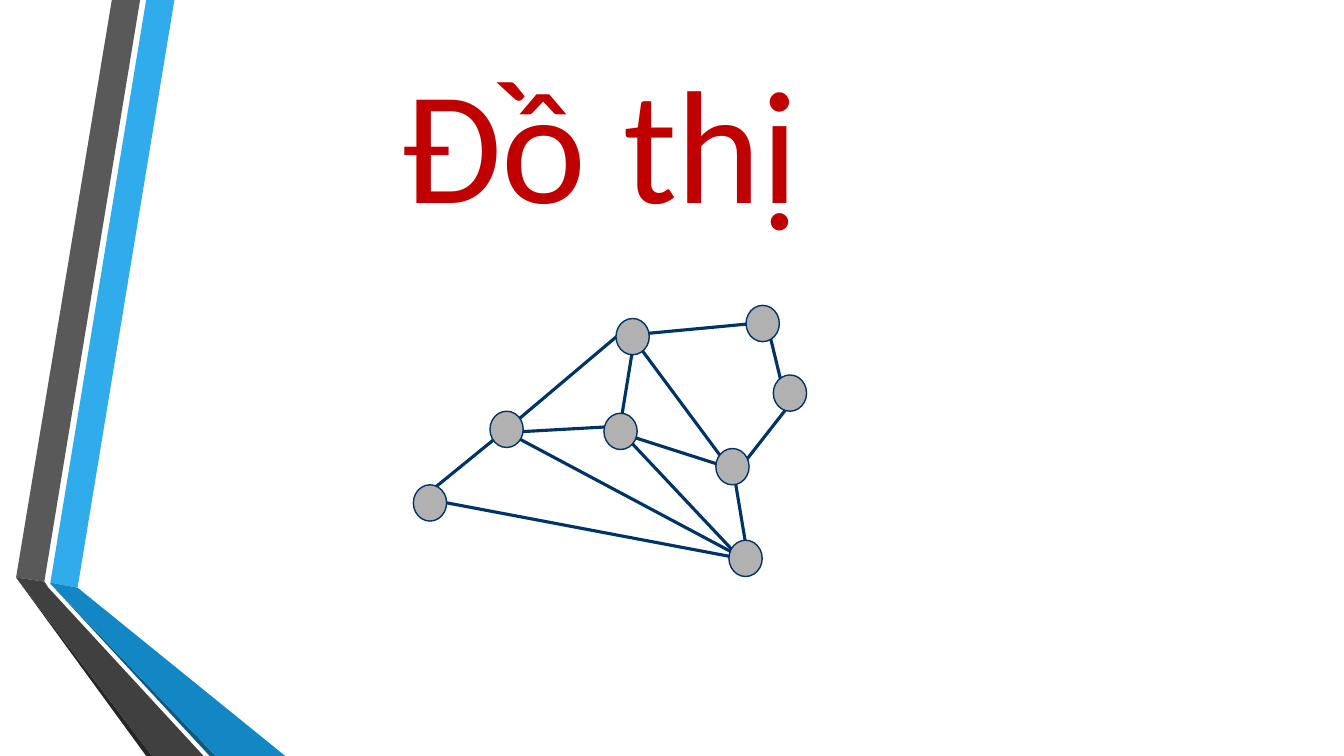
"""Build the "Đồ thị" title slide with its ribbon and its graph of nodes and edges."""
from typing import NamedTuple

from lxml.etree import SubElement
from pptx import Presentation
from pptx.dml.color import RGBColor
from pptx.enum.shapes import MSO_CONNECTOR, MSO_SHAPE
from pptx.enum.text import MSO_ANCHOR
from pptx.oxml.ns import qn
from pptx.slide import Slide
from pptx.util import Inches, Pt

COLORS = {
    "sky": "30ACEC", "blue": "1287C3", "deep blue": "0C5A82",
    "gray": "595959", "dark gray": "404040", "near black": "262626",
    "title": "C00000", "node": "B1B1B1", "edge": "003366",
}
NODE_WIDTH, NODE_HEIGHT = 0.33, 0.36


class Point(NamedTuple):
    x: float
    y: float


class Band(NamedTuple):
    color: str
    corners: list[Point]


class Edge(NamedTuple):
    start: Point
    end: Point


BANDS = [
    Band("sky", [Point(0.5, 5.78), Point(0.77, 5.83), Point(1.73, 0), Point(1.45, 0)]),
    Band("gray", [Point(1.39, 0), Point(1.11, 0), Point(0.16, 5.73), Point(0.44, 5.77)]),
    Band("near black", [Point(0.16, 5.73), Point(1.45, 7.5), Point(1.51, 7.5)]),
    Band("deep blue", [Point(0.5, 5.79), Point(2.08, 7.5), Point(2.14, 7.5)]),
    Band("blue", [Point(0.5, 5.78), Point(0.5, 5.79), Point(2.14, 7.5),
                  Point(2.83, 7.5), Point(0.77, 5.83)]),
    Band("dark gray", [Point(2.02, 7.5), Point(0.48, 5.83), Point(0.44, 5.77),
                       Point(0.16, 5.73), Point(1.51, 7.5)]),
]
EDGES = [
    Edge(Point(4.28, 4.96), Point(7.45, 5.56)),
    Edge(Point(4.2, 4.93), Point(5.01, 4.27)),
    Edge(Point(5.04, 4.29), Point(6.11, 4.23)),
    Edge(Point(6.26, 4.33), Point(7.29, 4.66)),
    Edge(Point(7.35, 4.63), Point(7.89, 3.94)),
    Edge(Point(7.27, 4.64), Point(7.42, 5.54)),
    Edge(Point(6.1, 4.22), Point(7.38, 5.58)),
    Edge(Point(5.03, 4.29), Point(7.47, 5.59)),
    Edge(Point(6.23, 3.29), Point(7.24, 4.65)),
    Edge(Point(6.28, 3.2), Point(5.06, 4.23)),
    Edge(Point(6.3, 3.31), Point(6.15, 4.23)),
    Edge(Point(6.29, 3.32), Point(7.57, 3.2)),
    Edge(Point(7.77, 3.88), Point(7.61, 3.22)),
]
NODE_CORNERS = [
    Point(7.23, 5.36), Point(7.1, 4.45), Point(7.67, 3.72), Point(5.99, 4.1),
    Point(4.86, 4.08), Point(4.1, 4.81), Point(6.11, 3.16), Point(7.4, 3.03),
]


def rgb(name: str) -> RGBColor:
    return RGBColor.from_string(COLORS[name])


def draw_band(slide: Slide, band: Band) -> None:
    first, *rest = [(Inches(corner.x), Inches(corner.y)) for corner in band.corners]
    outline = slide.shapes.build_freeform(*first)
    outline.add_line_segments(rest, close=True)
    ribbon = outline.convert_to_shape()
    ribbon.shadow.inherit = False
    ribbon.fill.solid()
    ribbon.fill.fore_color.rgb = rgb(band.color)
    ribbon.line.fill.background()


def draw_edge(slide: Slide, edge: Edge) -> None:
    link = slide.shapes.add_connector(
        MSO_CONNECTOR.STRAIGHT,
        Inches(edge.start.x), Inches(edge.start.y),
        Inches(edge.end.x), Inches(edge.end.y),
    )
    link.line.color.rgb = rgb("edge")
    link.line.width = Pt(2.25)
    SubElement(link._element.spPr, qn("a:effectLst"))


def draw_node(slide: Slide, corner: Point) -> None:
    node = slide.shapes.add_shape(
        MSO_SHAPE.OVAL, Inches(corner.x), Inches(corner.y),
        Inches(NODE_WIDTH), Inches(NODE_HEIGHT),
    )
    node.shadow.inherit = False
    node.fill.solid()
    node.fill.fore_color.rgb = rgb("node")
    node.line.color.rgb = rgb("edge")
    node.line.width = Pt(1)


def add_text(slide: Slide, text: str, *, left: float, top: float, width: float,
             height: float, size: float, color: str, font: str = "Calibri") -> None:
    box = slide.shapes.add_textbox(Inches(left), Inches(top), Inches(width), Inches(height))
    frame = box.text_frame
    frame.word_wrap = True
    frame.vertical_anchor = MSO_ANCHOR.MIDDLE
    frame.margin_left = frame.margin_top = Inches(0.01)
    frame.margin_right = frame.margin_bottom = 0
    run = frame.paragraphs[0].add_run()
    run.text = text
    run.font.name = font
    run.font.size = Pt(size)
    run.font.color.rgb = rgb(color)


def main() -> None:
    deck = Presentation()
    deck.slide_width, deck.slide_height = Inches(13.33), Inches(7.5)
    slide = deck.slides.add_slide(deck.slide_layouts[6])
    for band in BANDS:
        draw_band(slide, band)
    add_text(slide, "Đồ thị", left=3.97, top=0.4, width=4.55, height=1.95,
             size=115, color="title")
    for edge in EDGES:
        draw_edge(slide, edge)
    for corner in NODE_CORNERS:
        draw_node(slide, corner)
    deck.save("out.pptx")


if __name__ == "__main__":
    main()
